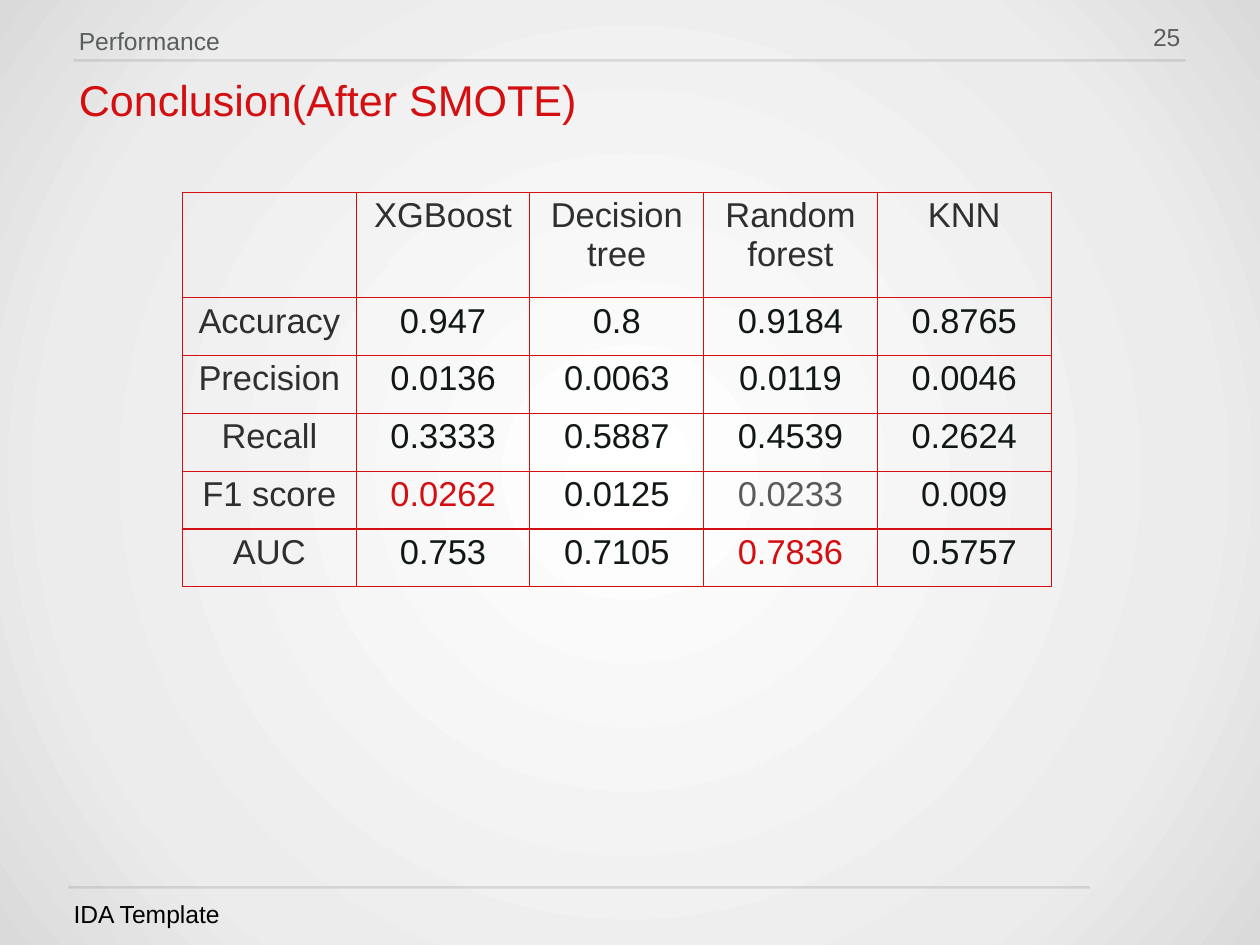
from pptx import Presentation
from pptx.dml.color import RGBColor
from pptx.enum.shapes import MSO_CONNECTOR
from pptx.enum.text import MSO_ANCHOR, MSO_AUTO_SIZE, PP_ALIGN
from pptx.oxml import parse_xml
from pptx.oxml.ns import nsdecls, qn
from pptx.util import Cm, Pt

LEFT, CENTER, RIGHT = PP_ALIGN.LEFT, PP_ALIGN.CENTER, PP_ALIGN.RIGHT
TOP, BOTTOM = MSO_ANCHOR.TOP, MSO_ANCHOR.BOTTOM
NO_AUTOFIT = MSO_AUTO_SIZE.NONE
STRAIGHT = MSO_CONNECTOR.STRAIGHT

RED = RGBColor(0xD3, 0x0F, 0x11)
GRAY = RGBColor(0x5A, 0x5F, 0x5E)
MUTED = RGBColor(0x5A, 0x5A, 0x5A)
LABEL = RGBColor(0x2D, 0x30, 0x2F)
VALUE = RGBColor(0x11, 0x17, 0x17)
BLACK = RGBColor(0x00, 0x00, 0x00)
BACKGROUND_STOPS = [
    (0, RGBColor(0xFF, 0xFF, 0xFF)),
    (73, RGBColor(0xEC, 0xEC, 0xEC)),
    (100, RGBColor(0xDA, 0xDA, 0xDA)),
]

FONT = "Arial"
INSET = Cm(0.15)
RULE_OPACITY = 16

SCORES = [
    ["", "XGBoost", "Decision tree", "Random forest", "KNN"],
    ["Accuracy", "0.947", "0.8", "0.9184", "0.8765"],
    ["Precision", "0.0136", "0.0063", "0.0119", "0.0046"],
    ["Recall", "0.3333", "0.5887", "0.4539", "0.2624"],
    ["F1 score", "0.0262", "0.0125", "0.0233", "0.009"],
    ["AUC", "0.753", "0.7105", "0.7836", "0.5757"],
]
HIGHLIGHTS = {(4, 1): RED, (4, 3): MUTED, (5, 3): RED}


def write_text(frame, text, size=20, color=GRAY, align=LEFT, spacing=1.0):
    paragraph = frame.paragraphs[0]
    paragraph.alignment = align
    paragraph.line_spacing = spacing
    run = paragraph.add_run()
    run.text = text
    run.font.name = FONT
    run.font.size = Pt(size)
    run.font.color.rgb = color


def set_up_frame(frame, anchor=TOP):
    frame.word_wrap = True
    frame.auto_size = NO_AUTOFIT
    frame.vertical_anchor = anchor
    frame.margin_left = frame.margin_right = INSET
    frame.margin_top = frame.margin_bottom = INSET


def add_label(slide, text, left, top, width, height, anchor=TOP, **text_format):
    box = slide.shapes.add_textbox(left, top, width, height)
    set_up_frame(box.text_frame, anchor)
    write_text(box.text_frame, text, **text_format)


def add_rule(slide, left, top, width):
    """Draw a faint horizontal line."""
    rule = slide.shapes.add_connector(STRAIGHT, left, top, left + width, top)
    rule.line.width = Pt(2)
    rule.line.color.rgb = GRAY
    color = rule.line._ln.find(".//" + qn("a:srgbClr"))
    color.append(parse_xml(
        f'<a:alpha {nsdecls("a")} val="{RULE_OPACITY * 1000}"/>'))
    rule._element.spPr.append(parse_xml(f'<a:effectLst {nsdecls("a")}/>'))


def set_background(slide):
    """Fill the background with a gradient that spreads from the centre."""
    slide.background.fill.solid()
    solid = slide.element.find(".//" + qn("p:bgPr") + "/" + qn("a:solidFill"))
    stops = "".join(
        f'<a:gs pos="{position * 1000}"><a:srgbClr val="{color}"/></a:gs>'
        for position, color in BACKGROUND_STOPS)
    gradient = parse_xml(
        f'<a:gradFill {nsdecls("a")} rotWithShape="1"><a:gsLst>{stops}</a:gsLst>'
        '<a:path path="circle"><a:fillToRect l="50000" t="50000" r="50000" '
        'b="50000"/></a:path></a:gradFill>')
    solid.getparent().replace(solid, gradient)


def add_header(slide, left, top, width):
    number_width = Cm(1.37)
    add_rule(slide, left, top + Cm(1.15), width)
    add_label(slide, "Performance", left, top, Cm(26.39), Cm(1.14))
    add_label(slide, "25", left + width - number_width, top, number_width,
              Cm(1.12), align=RIGHT, spacing=0.9)


def place_title(slide, left, top, width, height):
    title = slide.shapes.title
    title.left, title.top, title.width, title.height = left, top, width, height
    set_up_frame(title.text_frame)
    write_text(title.text_frame, "Conclusion(After SMOTE)",
               size=35, color=RED, spacing=0.9)


def add_footer(slide, left, top, width):
    add_rule(slide, left, top, width)
    add_label(slide, "IDA Template", left, top + Cm(0.2), Cm(15.21), Cm(1.12),
              anchor=BOTTOM, color=BLACK)


def draw_borders(cell):
    properties = cell._tc.get_or_add_tcPr()
    for side in ("lnL", "lnR", "lnT", "lnB"):
        properties.append(parse_xml(
            f'<a:{side} {nsdecls("a")} w="{Pt(1)}"><a:solidFill>'
            f'<a:srgbClr val="{RED}"/></a:solidFill></a:{side}>'))


def add_score_table(slide, left, top, column_width, header_height, row_height):
    row_count, column_count = len(SCORES), len(SCORES[0])
    table = slide.shapes.add_table(
        row_count, column_count, left, top, column_width * column_count,
        header_height + row_height * (row_count - 1)).table
    table.first_row = table.horz_banding = False
    for column in table.columns:
        column.width = column_width
    for row_index, values in enumerate(SCORES):
        table.rows[row_index].height = row_height if row_index else header_height
        for column_index, text in enumerate(values):
            cell = table.cell(row_index, column_index)
            draw_borders(cell)
            cell.fill.background()
            if text:
                plain = VALUE if row_index and column_index else LABEL
                color = HIGHLIGHTS.get((row_index, column_index), plain)
                write_text(cell.text_frame, text, size=28, color=color,
                           align=CENTER)


def build_slide(presentation):
    slide = presentation.slides.add_slide(
        presentation.slide_layouts.get_by_name("Title Only"))
    set_background(slide)
    add_header(slide, Cm(2.11), Cm(0.58), Cm(31.88))
    place_title(slide, Cm(2.11), Cm(2.11), Cm(31.85), Cm(1.7))
    add_score_table(slide, Cm(5.23), Cm(5.51), Cm(4.98), Cm(3.02), Cm(1.66))
    add_footer(slide, Cm(1.96), Cm(25.45), Cm(29.28))


def main():
    presentation = Presentation()
    presentation.slide_width = Cm(36.12)
    presentation.slide_height = Cm(27.1)
    build_slide(presentation)
    presentation.save("out.pptx")


if __name__ == "__main__":
    main()
